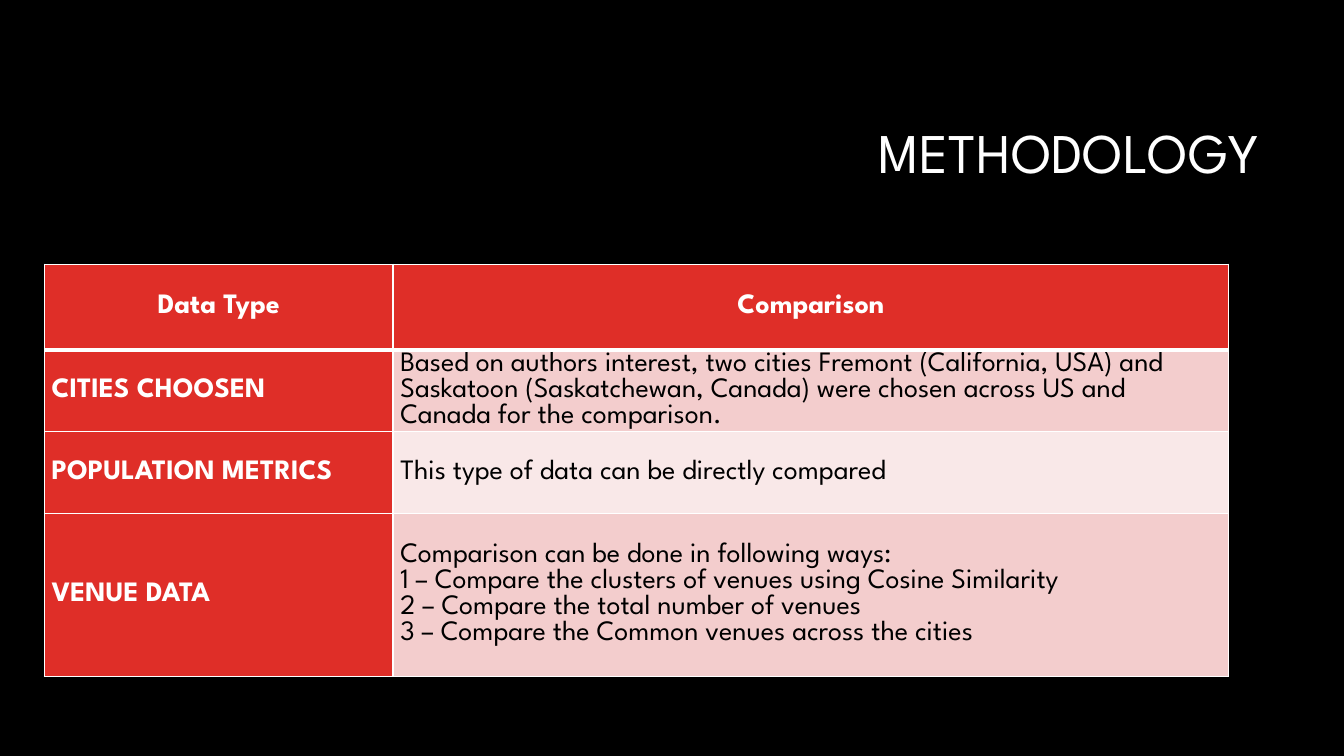
from lxml.etree import fromstring
from pptx import Presentation
from pptx.dml.color import RGBColor
from pptx.enum.text import MSO_ANCHOR, PP_ALIGN
from pptx.oxml.ns import nsdecls
from pptx.util import Pt

FONT = "League Spartan"
BLACK, WHITE, RED = "000000", "FFFFFF", "DF2E28"
BANDS = "F3CDCD", "F9E8E8"
WIDTHS = 249.1, 596.9
HEIGHTS = 61.2, 58.3, 58.3, 116.6
ROWS = [
    ("Data Type", "Comparison"),
    ("CITIES CHOOSEN",
     "Based on authors interest, two cities Fremont (California, USA) and "
     "Saskatoon (Saskatchewan, Canada) were chosen across US and Canada "
     "for the comparison."),
    ("POPULATION METRICS", "This type of data can be directly compared"),
    ("VENUE DATA",
     "Comparison can be done in following ways:\n"
     "1 – Compare the clusters of venues using Cosine Similarity\n"
     "2 – Compare the total number of venues\n"
     "3 – Compare the Common venues across the cities"),
]


def paint(target, color):
    """Give a fill one solid colour."""
    target.solid()
    target.fore_color.rgb = RGBColor.from_string(color)


def style(frame, size, color, align, bold=False):
    """Format every paragraph of a text frame."""
    for para in frame.paragraphs:
        para.alignment = align
        font = para.font
        font.name, font.size, font.bold = FONT, Pt(size), bold
        font.color.rgb = RGBColor.from_string(color)


def add_title(slide, text):
    title = slide.shapes.title
    title.left, title.top = Pt(228.2), Pt(60.5)
    title.width, title.height = Pt(678.2), Pt(101.5)
    frame = title.text_frame
    frame.text = text
    frame.word_wrap = True
    frame.vertical_anchor = MSO_ANCHOR.MIDDLE
    frame.paragraphs[0].line_spacing = 0.9
    style(frame, 40, WHITE, PP_ALIGN.RIGHT)


def add_edges(cell, top, bottom):
    """Draw white borders, which come before the fill in the XML."""
    props = cell._tc.get_or_add_tcPr()
    edges = {"L": 1, "R": 1, "T": top, "B": bottom}
    for index, (side, width) in enumerate(edges.items()):
        line = fromstring(
            f'<a:ln{side} {nsdecls("a")} w="{Pt(width)}"><a:solidFill>'
            f'<a:srgbClr val="{WHITE}"/></a:solidFill></a:ln{side}>')
        props.insert(index, line)


def fill_cell(cell, text, row, col):
    head = row == 0
    strong = head or col == 0
    cell.text = text
    cell.vertical_anchor = MSO_ANCHOR.MIDDLE
    cell.margin_left = cell.margin_right = Pt(5.2)
    cell.margin_top = cell.margin_bottom = 0
    style(cell.text_frame, 20, WHITE if strong else BLACK,
          PP_ALIGN.CENTER if head else PP_ALIGN.LEFT, strong)
    paint(cell.fill, RED if strong else BANDS[(row - 1) % 2])
    add_edges(cell, 3 if row == 1 else 1, 3 if head else 1)


def add_grid(slide):
    frame = slide.shapes.add_table(
        len(ROWS), len(WIDTHS), Pt(31.7), Pt(188.8),
        Pt(sum(WIDTHS)), Pt(sum(HEIGHTS)))
    table = frame.table
    for column, width in zip(table.columns, WIDTHS):
        column.width = Pt(width)
    for row, (height, texts) in enumerate(zip(HEIGHTS, ROWS)):
        table.rows[row].height = Pt(height)
        for col, text in enumerate(texts):
            fill_cell(table.cell(row, col), text, row, col)


def main():
    deck = Presentation()
    deck.slide_width, deck.slide_height = Pt(960), Pt(540)
    slide = deck.slides.add_slide(deck.slide_layouts[5])
    paint(slide.background.fill, BLACK)
    add_title(slide, "METHODOLOGY")
    add_grid(slide)
    deck.save("out.pptx")


if __name__ == "__main__":
    main()
